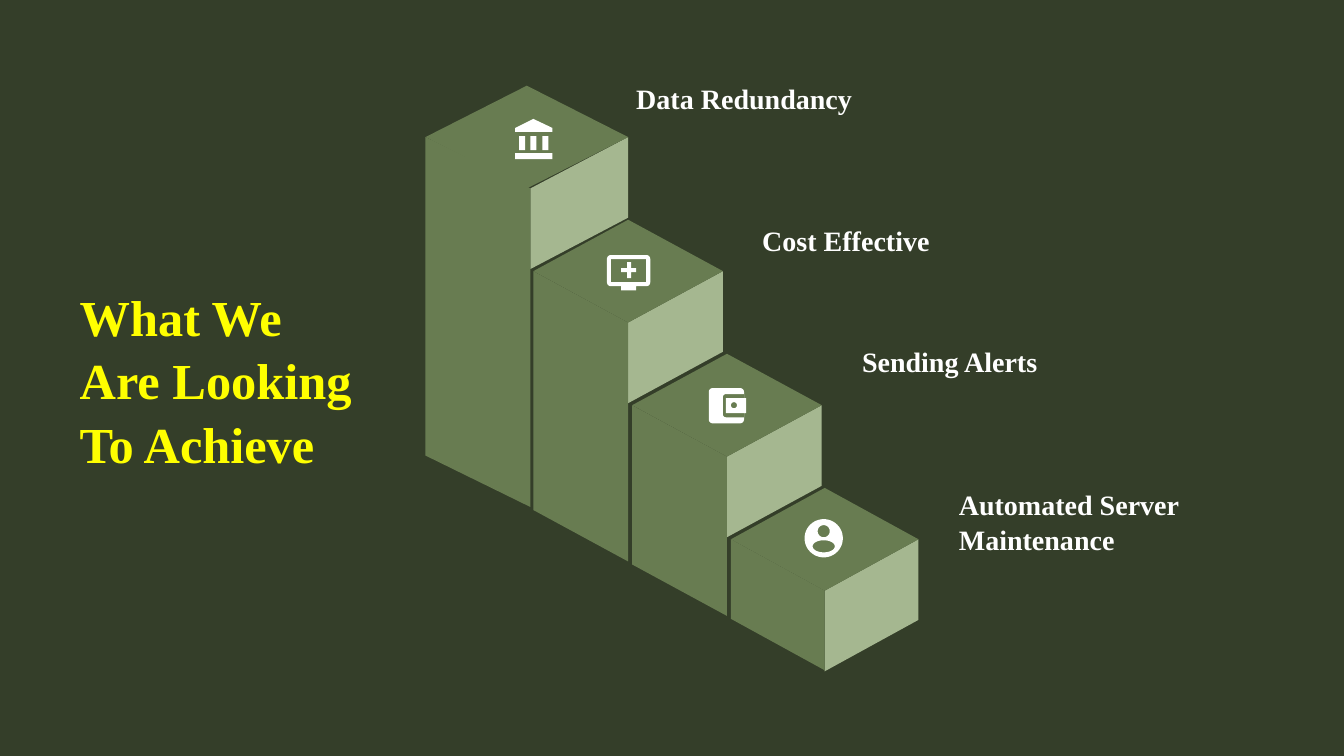
import math

import pptx
import pptx.dml.color
import pptx.enum.text
import pptx.util

Inches = pptx.util.Inches
RGBColor = pptx.dml.color.RGBColor
MSO_ANCHOR = pptx.enum.text.MSO_ANCHOR

BACKGROUND = RGBColor(0x34, 0x3E, 0x29)
FRONT = RGBColor(0x68, 0x7C, 0x51)
SIDE = RGBColor(0xA5, 0xB7, 0x90)
WHITE = RGBColor(0xFF, 0xFF, 0xFF)
YELLOW = RGBColor(0xFF, 0xFF, 0x00)

FRAME = {
    "word_wrap": True,
    "margin_left": 0,
    "margin_right": 0,
    "margin_top": 0,
    "margin_bottom": 0,
}
FONT = {"name": "Times New Roman", "bold": True}

RISE = 0.51
SIDE_HEIGHT = 0.8
FRONT_UNIT = 0.79
FIRST_TOP = 0.85
STEP_DROP = 1.33


def set_attrs(obj, values):
    for name, value in values.items():
        setattr(obj, name, value)


def add_text(slide, box, text, size, color, anchor=MSO_ANCHOR.TOP):
    sp = slide.shapes.add_textbox(*map(Inches, box))
    tf = sp.text_frame
    set_attrs(tf, {**FRAME, "vertical_anchor": anchor})
    p = tf.paragraphs[0]
    p.line_spacing = 1.05
    r = p.add_run()
    r.text = text
    set_attrs(r.font, {**FONT, "size": pptx.util.Pt(size)})
    r.font.color.rgb = color


def add_outline(slide, origin, contours, color):
    left, top = origin
    builder = None
    for contour in contours:
        points = [(Inches(left + x), Inches(top + y)) for x, y in contour]
        if builder is None:
            builder = slide.shapes.build_freeform(*points[0])
        else:
            builder.move_to(*points[0])
        builder.add_line_segments(points[1:], close=True)
    sp = builder.convert_to_shape()
    sp.shadow.inherit = False
    sp.fill.solid()
    sp.fill.fore_color.rgb = color
    sp.line.fill.background()


def rect(x1, y1, x2, y2):
    return [(x1, y1), (x2, y1), (x2, y2), (x1, y2)]


def arc(cx, cy, rx, ry, start, end, count):
    angles = [math.radians(start + (end - start) * i / count) for i in range(count + 1)]
    return [(cx + rx * math.cos(a), cy + ry * math.sin(a)) for a in angles]


def ellipse(cx, cy, rx, ry):
    return arc(cx, cy, rx, ry, 0, 360, 48)[:-1]


def round_rect(x1, y1, x2, y2, radius=0.04):
    centers = rect(x1 + radius, y1 + radius, x2 - radius, y2 - radius)
    return [
        point
        for i, (cx, cy) in enumerate(centers)
        for point in arc(cx, cy, radius, radius, 180 + 90 * i, 270 + 90 * i, 6)
    ]


def bank_icon():
    columns = [rect(x, 0.17, x + 0.06, 0.31) for x in (0.04, 0.15, 0.27)]
    roof = [(0.18, 0), (0.37, 0.09), (0.37, 0.13), (0, 0.13), (0, 0.09)]
    return [roof, rect(0, 0.34, 0.37, 0.4)] + columns


def monitor_icon():
    plus = [
        (0.29, 0.13), (0.29, 0.17), (0.24, 0.17), (0.24, 0.23),
        (0.2, 0.23), (0.2, 0.17), (0.14, 0.17), (0.14, 0.13),
        (0.2, 0.13), (0.2, 0.07), (0.24, 0.07), (0.24, 0.13),
    ]
    return [
        round_rect(0, 0, 0.43, 0.31),
        rect(0.04, 0.04, 0.39, 0.27),
        plus,
        rect(0.14, 0.31, 0.29, 0.35),
    ]


def wallet_icon():
    return [
        round_rect(0, 0, 0.35, 0.35),
        [(0.35, 0.06), (0.35, 0.29)] + arc(0.17, 0.26, 0.03, 0.03, 90, 180, 6)
        + arc(0.17, 0.09, 0.03, 0.03, 180, 270, 6),
        rect(0.17, 0.1, 0.37, 0.25),
        ellipse(0.25, 0.17, 0.03, 0.03),
    ]


def user_icon():
    return [
        ellipse(0.19, 0.19, 0.19, 0.19),
        ellipse(0.19, 0.12, 0.06, 0.06),
        ellipse(0.19, 0.27, 0.11, 0.06),
    ]


def add_step(slide, origin, mid, width, front_height):
    center = width / 2
    side = [(width, RISE), (width, RISE + SIDE_HEIGHT),
            (mid, 2 * RISE + SIDE_HEIGHT), (mid, 2 * RISE)]
    front = [(0, RISE), (mid, 2 * RISE),
             (mid, 2 * RISE + front_height), (0, RISE + front_height)]
    top = [(center, 0), (width, RISE), (center, 2 * RISE), (0, RISE)]
    for face, color in ((side, SIDE), (front, FRONT), (top, FRONT)):
        add_outline(slide, origin, [face], color)


def add_staircase(slide, steps):
    for i, (left, mid, width, icon_at, icon, label_box, label) in reversed(list(enumerate(steps))):
        origin = (left, FIRST_TOP + STEP_DROP * i)
        add_step(slide, origin, mid, width, FRONT_UNIT * (len(steps) - i))
        add_outline(slide, icon_at, icon(), WHITE)
        add_text(slide, label_box, label, 20, WHITE)


def main():
    prs = pptx.Presentation()
    set_attrs(prs, {"slide_width": Inches(13.33), "slide_height": Inches(7.5)})
    slide = prs.slides.add_slide(prs.slide_layouts[6])
    slide.background.fill.solid()
    slide.background.fill.fore_color.rgb = BACKGROUND

    add_text(slide, (0.79, 2.84, 2.85, 1.82), "What We Are Looking To Achieve",
             36, YELLOW, MSO_ANCHOR.MIDDLE)
    add_staircase(slide, [
        (4.22, 1.04, 2.01, (5.11, 1.18), bank_icon,
         (6.31, 0.79, 2.82, 0.34), "Data Redundancy"),
        (5.29, 0.94, 1.88, (6.02, 2.53), monitor_icon,
         (7.56, 2.2, 2.44, 0.34), "Cost Effective"),
        (6.27, 0.94, 1.88, (7.03, 3.85), wallet_icon,
         (8.55, 3.4, 2.44, 0.34), "Sending Alerts"),
        (7.25, 0.93, 1.86, (7.98, 5.15), user_icon,
         (9.51, 4.82, 2.5, 0.69), "Automated Server Maintenance"),
    ])
    prs.save("out.pptx")


if __name__ == "__main__":
    main()
